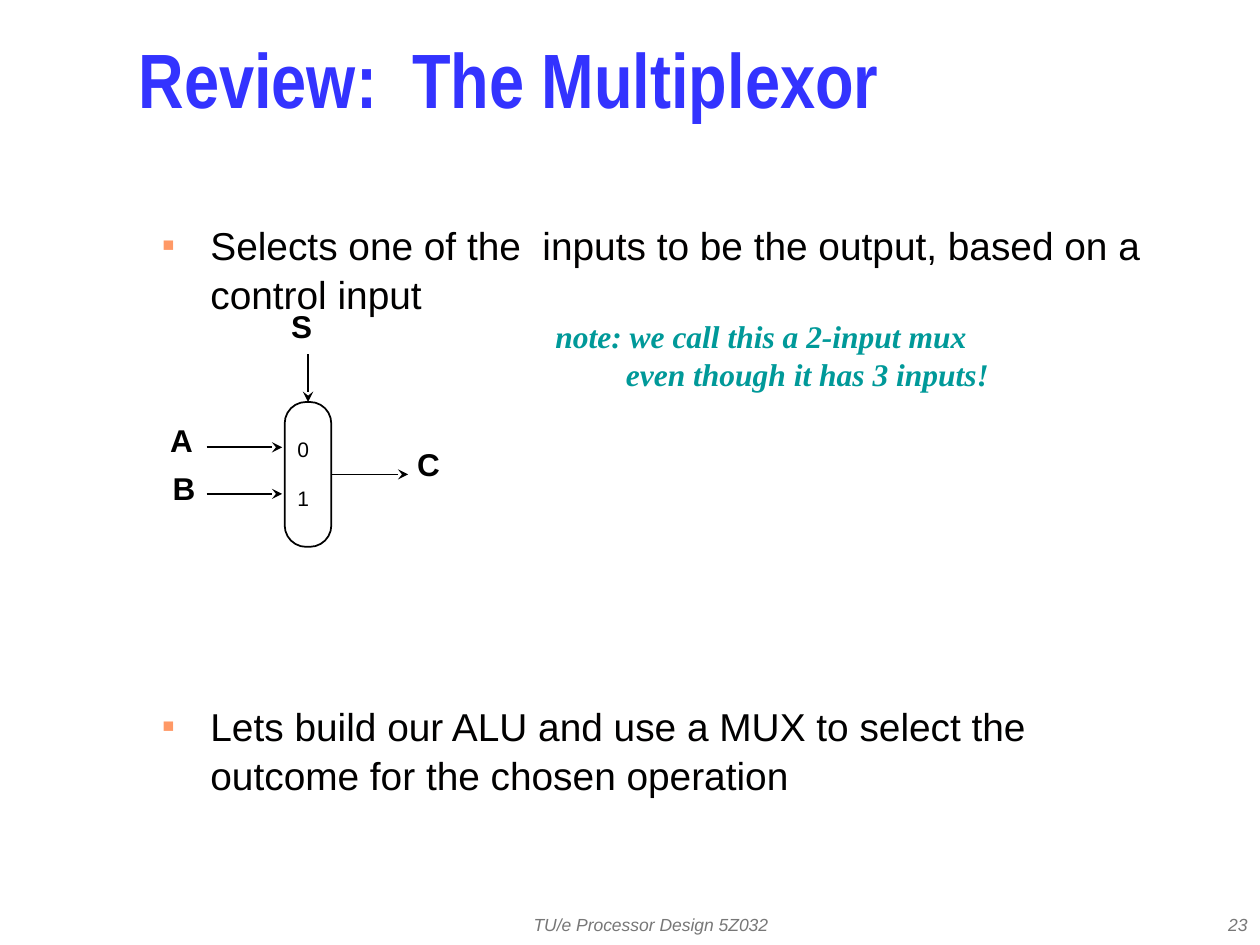
"""Build the slide that reviews the multiplexor."""
from lxml import etree
from pptx import Presentation
from pptx import util as u
from pptx.dml.color import RGBColor
from pptx.enum import shapes, text
from pptx.oxml import ns

BLACK = RGBColor(0x00, 0x00, 0x00)
INK = RGBColor(0x01, 0x00, 0x00)
WHITE = RGBColor(0xFF, 0xFF, 0xFF)
BLUE = RGBColor(0x33, 0x33, 0xFF)
TEAL = RGBColor(0x00, 0x99, 0x99)
GREY = RGBColor(0x77, 0x77, 0x77)
ORANGE = RGBColor(0xFF, 0x99, 0x66)

TITLE = dict(name="Arial Narrow", size=u.Pt(44), bold=True, italic=False, color=BLUE)
BODY = dict(name="Arial", size=u.Pt(22.2), bold=False, color=INK)
LABEL = dict(name="Arial", size=u.Pt(18), bold=True, color=BLACK)
PORT = dict(name="Arial", size=u.Pt(12), color=BLACK)
NOTE = dict(name="Times New Roman", size=u.Pt(18), bold=True, italic=True, color=TEAL)
FOOTER = dict(name="Arial", size=u.Pt(10), italic=True, color=GREY)

WIDE_INSETS = (0.1, 0.05)
TIGHT_INSETS = (0.02, 0.03)
COLUMNS, ROWS = 100, 75


class SlideBuilder:
    """Holds the current slide and draws on a grid of 100 columns by 75 rows."""

    def __init__(self, presentation):
        self.slide = presentation.slides.add_slide(presentation.slide_layouts[1])
        self.column = presentation.slide_width / COLUMNS
        self.row = presentation.slide_height / ROWS

    def place(self, *lengths):
        return [round(length * unit) for length, unit in zip(lengths, (self.column, self.row) * 2)]

    def set_text(self, shape, lines, style, insets=WIDE_INSETS, anchor=text.MSO_ANCHOR.TOP, **layout):
        frame = shape.text_frame
        frame.word_wrap = True
        frame.auto_size = text.MSO_AUTO_SIZE.NONE
        frame.vertical_anchor = anchor
        frame.margin_left = frame.margin_right = u.Inches(insets[0])
        frame.margin_top = frame.margin_bottom = u.Inches(insets[1])
        frame.text = "\n".join(lines)
        for paragraph in frame.paragraphs:
            paragraph.space_before = u.Pt(0)
            for key, value in layout.items():
                setattr(paragraph, key, value)
            for run in paragraph.runs:
                for key, value in style.items():
                    if key == "color":
                        run.font.color.rgb = value
                    else:
                        setattr(run.font, key, value)
        return frame.paragraphs

    def placeholder(self, index, box, lines, style, **layout):
        shape = self.slide.placeholders[index]
        shape.left, shape.top, shape.width, shape.height = self.place(*box)
        return self.set_text(shape, lines, style, **layout)

    def textbox(self, box, lines, style, **layout):
        shape = self.slide.shapes.add_textbox(*self.place(*box))
        return self.set_text(shape, lines, style, **layout)

    def bullet(self, paragraph):
        properties = paragraph._p.get_or_add_pPr()
        properties.set("marL", str(u.Inches(0.38)))
        properties.set("indent", str(-u.Inches(0.38)))
        color = etree.SubElement(properties, ns.qn("a:buClr"))
        etree.SubElement(color, ns.qn("a:srgbClr"), val=str(ORANGE))
        etree.SubElement(properties, ns.qn("a:buSzPct"), val="50000")
        etree.SubElement(properties, ns.qn("a:buFont"), typeface="Arial")
        etree.SubElement(properties, ns.qn("a:buChar"), char="■")

    def capsule(self, box):
        shape = self.slide.shapes.add_shape(shapes.MSO_SHAPE.ROUNDED_RECTANGLE, *self.place(*box))
        shape.adjustments[0] = 0.46
        shape.shadow.inherit = False
        shape.fill.solid()
        shape.fill.fore_color.rgb = WHITE
        shape.line.color.rgb = BLACK
        shape.line.width = u.Pt(1)
        return shape

    def arrow(self, *ends):
        connector = self.slide.shapes.add_connector(shapes.MSO_CONNECTOR.STRAIGHT, *self.place(*ends))
        connector.line.color.rgb = BLACK
        connector.line.width = u.Pt(1)
        etree.SubElement(connector.line._get_or_add_ln(), ns.qn("a:tailEnd"), type="stealth")
        etree.SubElement(connector._element.spPr, ns.qn("a:effectLst"))
        return connector


def main():
    presentation = Presentation()
    presentation.slide_width, presentation.slide_height = u.Inches(10), u.Inches(7.5)
    builder = SlideBuilder(presentation)
    middle = text.MSO_ANCHOR.MIDDLE
    align = text.PP_ALIGN

    builder.placeholder(0, (10, 1.7, 85.8, 10.8), ["Review:  The Multiplexor"], TITLE,
                        anchor=middle, alignment=align.LEFT, line_spacing=0.7)
    points = builder.placeholder(1, (11.9, 16.9, 82.1, 47.9), [
        "Selects one of the  inputs to be the output, based on a control input",
        "Lets build our ALU and use a MUX to select the\voutcome for the chosen operation",
    ], BODY, line_spacing=1.05)
    for point in points:
        builder.bullet(point)
    points[1].space_before = u.Pt(219)

    multiplexor = builder.capsule((22.6, 31.9, 3.7, 11.5))
    for row in (35.5, 39.2):
        builder.arrow(16.4, row, 22.4, row)
    builder.arrow(24.45, 28.1, 24.45, 31.9).end_connect(multiplexor, 0)
    builder.arrow(26.3, 37.65, 32.4, 37.65).begin_connect(multiplexor, 3)

    for name, column, row in (("S", 22.9, 23.3), ("C", 32.9, 34.3), ("A", 13.3, 32.4), ("B", 13.5, 36.2)):
        builder.textbox((column, row, 6.3, 6.7), [name], LABEL,
                        insets=TIGHT_INSETS, line_spacing=u.Pt(27))
    for name, row in (("0", 34.4), ("1", 38.3)):
        builder.textbox((23.4, row, 5.5, 3.3), [name], PORT,
                        insets=TIGHT_INSETS, line_spacing=u.Pt(14))

    note = builder.textbox((43.1, 24.7, 36.4, 7), [
        "note: we call this a 2-input mux",
        "even though it has 3 inputs!",
    ], NOTE)
    note[1]._p.get_or_add_pPr().set("marL", str(u.Inches(0.56)))

    builder.textbox((35.8, 71.7, 31.7, 3.3), ["TU/e Processor Design 5Z032"], FOOTER,
                    anchor=middle, alignment=align.CENTER)
    builder.textbox((79.2, 71.7, 20.8, 3.3), ["23"], FOOTER, anchor=middle, alignment=align.RIGHT)
    presentation.save("out.pptx")


if __name__ == "__main__":
    main()
